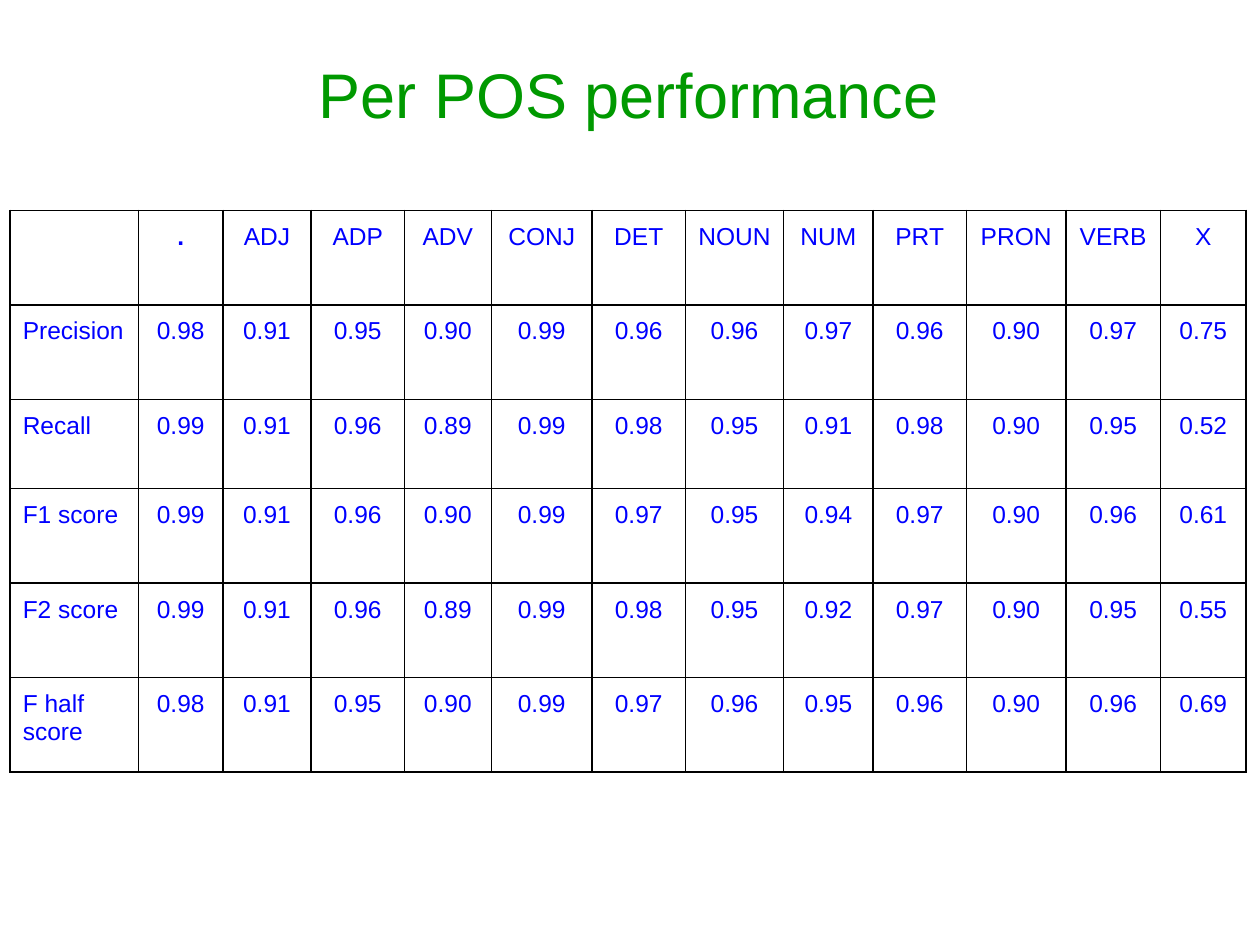
from dataclasses import dataclass

from lxml import etree
from pptx import Presentation
from pptx import util as u
from pptx.dml import color
from pptx.enum import text
from pptx.oxml import ns


@dataclass(frozen=True)
class Theme:
    font: str = "Arial"
    green: str = "009900"
    blue: str = "0000FF"
    black: str = "000000"
    head: float = 36
    body: float = 14
    rule: float = 1
    inset: float = 7.2


THEME = Theme()
LEFT, WIDTH = 5.8, 707
COLS = [73.4, 48.2, 50.4, 53.3, 49.7, 57.6, 53.3, 56.2, 51.1, 53.3, 56.9, 54, 49]
ROWS = [54, 54, 51.1, 54, 54, 54]
TAGS = [".", "ADJ", "ADP", "ADV", "CONJ", "DET", "NOUN", "NUM", "PRT", "PRON", "VERB", "X"]
SCORES = {
    "Precision": "0.98 0.91 0.95 0.90 0.99 0.96 0.96 0.97 0.96 0.90 0.97 0.75",
    "Recall": "0.99 0.91 0.96 0.89 0.99 0.98 0.95 0.91 0.98 0.90 0.95 0.52",
    "F1 score": "0.99 0.91 0.96 0.90 0.99 0.97 0.95 0.94 0.97 0.90 0.96 0.61",
    "F2 score": "0.99 0.91 0.96 0.89 0.99 0.98 0.95 0.92 0.97 0.90 0.95 0.55",
    "F half score": "0.98 0.91 0.95 0.90 0.99 0.97 0.96 0.95 0.96 0.90 0.96 0.69",
}


def style(frame, size, tint, align, bold=False):
    for para in frame.paragraphs:
        para.alignment = align
        for run in para.runs:
            run.font.name = THEME.font
            run.font.size = u.Pt(size)
            run.font.bold = bold
            run.font.color.rgb = color.RGBColor.from_string(tint)


def pad(box):
    box.margin_left = box.margin_right = u.Pt(THEME.inset)
    box.margin_top = box.margin_bottom = u.Pt(THEME.inset)


def border(cell):
    props = cell._tc.get_or_add_tcPr()
    for side in ("a:lnL", "a:lnR", "a:lnT", "a:lnB"):
        line = etree.SubElement(props, ns.qn(side), w=str(u.Pt(THEME.rule)))
        fill = etree.SubElement(line, ns.qn("a:solidFill"))
        etree.SubElement(fill, ns.qn("a:srgbClr"), val=THEME.black)


def add_title(slide, words):
    title = slide.shapes.title
    title.left, title.top = u.Pt(LEFT), u.Pt(25.2)
    title.width, title.height = u.Pt(WIDTH), u.Pt(56.2)
    frame = title.text_frame
    frame.text = words
    frame.auto_size = text.MSO_AUTO_SIZE.NONE
    frame.vertical_anchor = text.MSO_ANCHOR.MIDDLE
    pad(frame)
    style(frame, THEME.head, THEME.green, text.PP_ALIGN.CENTER)


def fill_cell(cell, words, align, bold):
    cell.text_frame.text = words
    cell.vertical_anchor = text.MSO_ANCHOR.TOP
    pad(cell)
    style(cell.text_frame, THEME.body, THEME.blue, align, bold)
    border(cell)
    cell.fill.background()


def add_grid(slide, data):
    frame = slide.shapes.add_table(
        len(ROWS), len(COLS), u.Pt(LEFT), u.Pt(120.2), u.Pt(WIDTH), u.Pt(sum(ROWS))
    )
    grid = frame.table
    grid.first_row = grid.horz_banding = False
    for col, width in zip(grid.columns, COLS):
        col.width = u.Pt(width)
    for row, height in zip(grid.rows, ROWS):
        row.height = u.Pt(height)
    for r, line in enumerate(data):
        for c, words in enumerate(line):
            align = text.PP_ALIGN.CENTER if c else text.PP_ALIGN.LEFT
            fill_cell(grid.cell(r, c), words, align, words == ".")


def main():
    deck = Presentation()
    deck.slide_width, deck.slide_height = u.Pt(720), u.Pt(540)
    slide = deck.slides.add_slide(deck.slide_layouts[5])
    add_title(slide, "Per POS performance")
    body = [[name, *marks.split()] for name, marks in SCORES.items()]
    add_grid(slide, [["", *TAGS], *body])
    deck.save("out.pptx")


if __name__ == "__main__":
    main()
